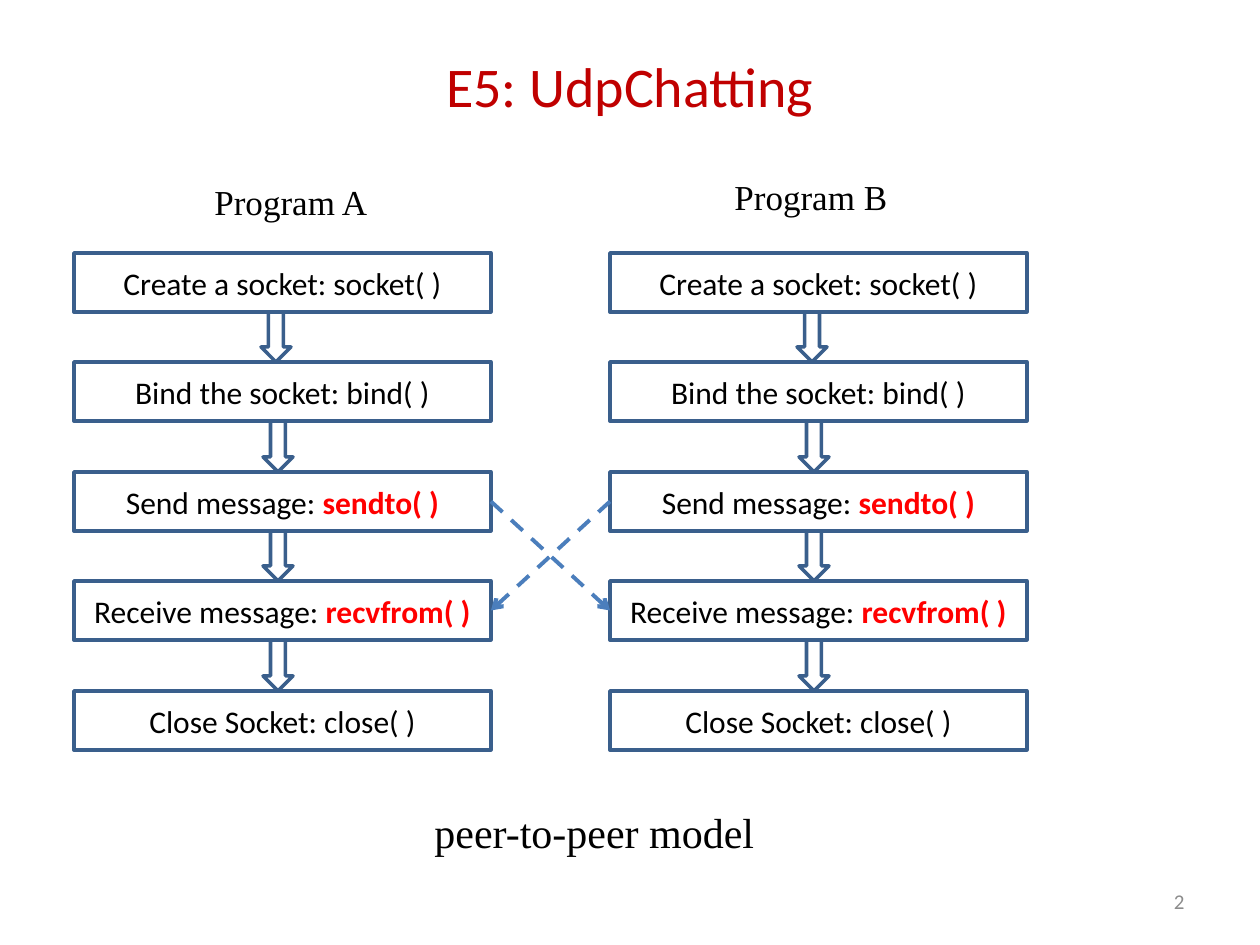
"""Build the slide on a UDP chat between two peer programs."""
from itertools import pairwise
from pptx import Presentation
from pptx.dml.color import RGBColor
from pptx.enum.dml import MSO_LINE
from pptx.enum.shapes import MSO_CONNECTOR, MSO_SHAPE
from pptx.enum.text import MSO_ANCHOR, MSO_AUTO_SIZE, PP_ALIGN
from pptx.oxml.ns import qn
from pptx.util import Pt
from lxml.etree import SubElement

SCALE = 914400 / 126
SERIF = "Times New Roman"
EDGE = "3A5F8C"
TOP, LAST = 253, 691
WIDTH, HEIGHT = 417, 59
STEPS = [
    ("Create a socket: socket( )", ""),
    ("Bind the socket: bind( )", ""),
    ("Send message: ", "sendto( )"),
    ("Receive message: ", "recvfrom( )"),
    ("Close Socket: close( )", ""),
]
SEND, RECEIVE = 2, 3
LEFT, RIGHT = 1, 3


def px(*sizes):
    return [round(size * SCALE) for size in sizes]


def paint(text):
    return RGBColor.from_string(text)


def write(shape, text, hot="", size=18, font="Calibri", color="000000",
          align=PP_ALIGN.CENTER, anchor=MSO_ANCHOR.MIDDLE, wrap=True):
    frame = shape.text_frame
    frame.word_wrap = wrap
    frame.vertical_anchor = anchor
    if not wrap:
        frame.auto_size = MSO_AUTO_SIZE.SHAPE_TO_FIT_TEXT
    line = frame.paragraphs[0]
    line.alignment = align
    for part, shade, bold in ((text, color, False), (hot, "FF0000", True)):
        if part:
            run = line.add_run()
            run.text = part
            run.font.size = Pt(size)
            run.font.name = font
            run.font.bold = bold
            run.font.color.rgb = paint(shade)


def label(slide, text, place, **style):
    write(slide.shapes.add_textbox(*px(*place)), text, **style)


def note(slide, text, place, size):
    label(slide, text, place, size=size, font=SERIF, align=PP_ALIGN.LEFT,
          anchor=MSO_ANCHOR.TOP, wrap=False)


def block(group, kind, place):
    shape = group.shapes.add_shape(kind, *px(*place))
    shape.shadow.inherit = False
    shape.fill.background()
    shape.line.color.rgb = paint(EDGE)
    shape.line.width = Pt(2)
    return shape


def program(slide, left):
    group = slide.shapes.add_group_shape()
    tops = [TOP + row * (LAST - TOP) // (len(STEPS) - 1)
            for row in range(len(STEPS))]
    boxes = []
    for top, (text, hot) in zip(tops, STEPS):
        box = block(group, MSO_SHAPE.RECTANGLE, (left, top, WIDTH, HEIGHT))
        write(box, text, hot)
        boxes.append(box)
    for row, (top, below) in enumerate(pairwise(tops)):
        shift = 189 if row else 187
        start = top + HEIGHT
        block(group, MSO_SHAPE.DOWN_ARROW,
              (left + shift, start, 30, below - start))
    return boxes


def link(slide, source, exit, target, entry):
    line = slide.shapes.add_connector(MSO_CONNECTOR.STRAIGHT, 0, 0, 0, 0)
    line.begin_connect(source, exit)
    line.end_connect(target, entry)
    line.line.color.rgb = paint("4B7EBC")
    line.line.width = Pt(2.25)
    line.line.dash_style = MSO_LINE.DASH
    SubElement(line.line._get_or_add_ln(), qn("a:tailEnd"), type="arrow")
    SubElement(line._element.spPr, qn("a:effectLst"))


def main():
    deck = Presentation()
    deck.slide_width, deck.slide_height = px(1260, 945)
    slide = deck.slides.add_slide(deck.slide_layouts[6])

    label(slide, "E5: UdpChatting", (63, 37, 1134, 97), size=32,
          color="C00000")
    first = program(slide, 74)
    second = program(slide, 610)
    note(slide, "Program A", (202, 174, 179, 55), 20)
    note(slide, "Program B", (722, 169, 179, 55), 20)
    link(slide, first[SEND], RIGHT, second[RECEIVE], LEFT)
    link(slide, second[SEND], LEFT, first[RECEIVE], RIGHT)
    note(slide, "peer-to-peer model", (422, 800, 348, 63), 24)
    label(slide, "2", (903, 876, 294, 50), size=12, color="8C8C8C",
          align=PP_ALIGN.RIGHT)

    deck.save("out.pptx")


if __name__ == "__main__":
    main()
